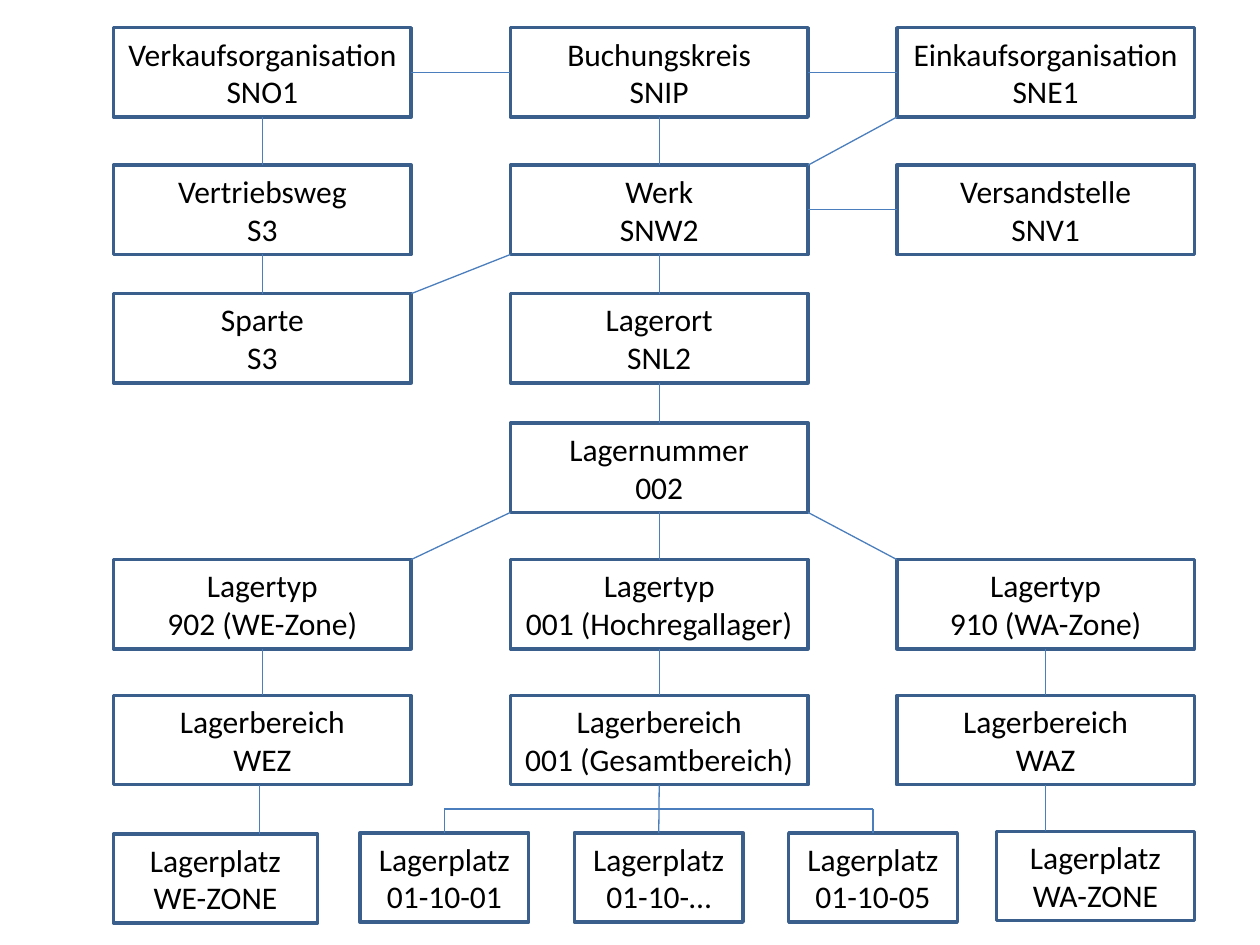
import dataclasses

import pptx
import pptx.dml.color
import pptx.enum.shapes
import pptx.enum.text
import pptx.oxml
import pptx.util

Cm = pptx.util.Cm
TOP, LEFT, BOTTOM, RIGHT = range(4)


@dataclasses.dataclass(frozen=True)
class Theme:
    font: str = "Calibri"
    size: float = 18
    text: str = "000000"
    border: str = "3A5F8C"
    border_width: float = 2
    link: str = "4B7EBC"
    link_width: float = 0.75


class Chart:
    """Draws the boxes and links of an organisation chart on one slide."""

    def __init__(self, s, theme):
        self.s = s
        self.theme = theme

    def stroke(self, line, color, width):
        line.color.rgb = pptx.dml.color.RGBColor.from_string(color)
        line.width = pptx.util.Pt(width)

    def box(self, text, x, y, w=6, h=1.8):
        sp = self.s.shapes.add_shape(
            pptx.enum.shapes.MSO_SHAPE.RECTANGLE, Cm(x), Cm(y), Cm(w), Cm(h))
        sp.shadow.inherit = False
        sp.fill.background()
        self.stroke(sp.line, self.theme.border, self.theme.border_width)
        tf = sp.text_frame
        tf.text = text
        tf.vertical_anchor = pptx.enum.text.MSO_ANCHOR.MIDDLE
        for p in tf.paragraphs:
            p.alignment = pptx.enum.text.PP_ALIGN.CENTER
            for r in p.runs:
                r.font.name = self.theme.font
                r.font.size = pptx.util.Pt(self.theme.size)
                r.font.color.rgb = pptx.dml.color.RGBColor.from_string(self.theme.text)
        return sp

    def line(self, start, end):
        c = self.s.shapes.add_connector(
            pptx.enum.shapes.MSO_CONNECTOR.STRAIGHT, *start, *end)
        self.stroke(c.line, self.theme.link, self.theme.link_width)
        c._element.spPr.append(pptx.oxml.parse_xml(
            '<a:effectLst xmlns:a="http://schemas.openxmlformats.org/drawingml/2006/main"/>'))
        return c

    def side(self, sp, site):
        dx, dy = {TOP: (1, 0), LEFT: (0, 1), BOTTOM: (1, 2), RIGHT: (2, 1)}[site]
        return sp.left + sp.width * dx // 2, sp.top + sp.height * dy // 2

    def corner(self, sp, right, bottom):
        return sp.left + sp.width * right, sp.top + sp.height * bottom

    def link(self, a, a_site, b, b_site):
        c = self.line(self.side(a, a_site), self.side(b, b_site))
        c.begin_connect(a, a_site)
        c.end_connect(b, b_site)

    def drop(self, sp, site, y):
        x, start = self.side(sp, site)
        self.line((x, start), (x, y)).begin_connect(sp, site)


def main():
    prs = pptx.Presentation()
    prs.slide_width, prs.slide_height = Cm(25.4), Cm(19.05)
    chart = Chart(prs.slides.add_slide(prs.slide_layouts[6]), Theme())

    columns = [2.29, 10.29, 18.08]
    rows = [0.56, 3.33, 5.92, 8.53, 11.28, 14.02]
    units = [
        ["Verkaufsorganisation\nSNO1", "Buchungskreis\nSNIP", "Einkaufsorganisation\nSNE1"],
        ["Vertriebsweg\nS3", "Werk\nSNW2", "Versandstelle\nSNV1"],
        ["Sparte\nS3", "Lagerort\nSNL2", None],
        [None, "Lagernummer\n002", None],
        ["Lagertyp\n902 (WE-Zone)", "Lagertyp\n001 (Hochregallager)", "Lagertyp\n910 (WA-Zone)"],
        ["Lagerbereich\nWEZ", "Lagerbereich\n001 (Gesamtbereich)", "Lagerbereich\nWAZ"],
    ]
    grid = {(i, j): chart.box(text, columns[j], y)
            for i, (y, texts) in enumerate(zip(rows, units))
            for j, text in enumerate(texts) if text}

    we_bin = chart.box("Lagerplatz\nWE-ZONE", columns[0], 16.81, 4.11)
    wa_bin = chart.box("Lagerplatz\nWA-ZONE", 20.09, 16.76, 3.99)
    bins = [chart.box(f"Lagerplatz\n01-10-{code}", 7.26 + 4.32 * i, 16.79, 3.4)
            for i, code in enumerate(["01", "…", "05"])]

    for (i, j), sp in grid.items():
        below = grid.get((i + 1, j))
        if below is not None and (i, j) != (0, 2):
            chart.link(sp, BOTTOM, below, TOP)
    for i, j in [(0, 0), (0, 1), (1, 1)]:
        chart.link(grid[i, j], RIGHT, grid[i, j + 1], LEFT)

    plant, warehouse = grid[1, 1], grid[3, 1]
    for upper, upper_right, lower, lower_right in [
            (plant, 0, grid[2, 0], 1), (grid[0, 2], 0, plant, 1),
            (warehouse, 0, grid[4, 0], 1), (warehouse, 1, grid[4, 2], 0)]:
        chart.line(chart.corner(upper, upper_right, 1), chart.corner(lower, lower_right, 0))

    bus = Cm(16.31)
    chart.link(grid[5, 1], BOTTOM, bins[1], TOP)
    for sp in (bins[0], bins[2]):
        chart.drop(sp, TOP, bus)
    chart.line((chart.side(bins[0], TOP)[0], bus), (chart.side(bins[2], TOP)[0], bus))
    chart.drop(grid[5, 2], BOTTOM, wa_bin.top)
    chart.line((Cm(5.23), chart.side(grid[5, 0], BOTTOM)[1]), (Cm(5.23), we_bin.top))

    prs.save("out.pptx")


if __name__ == "__main__":
    main()
